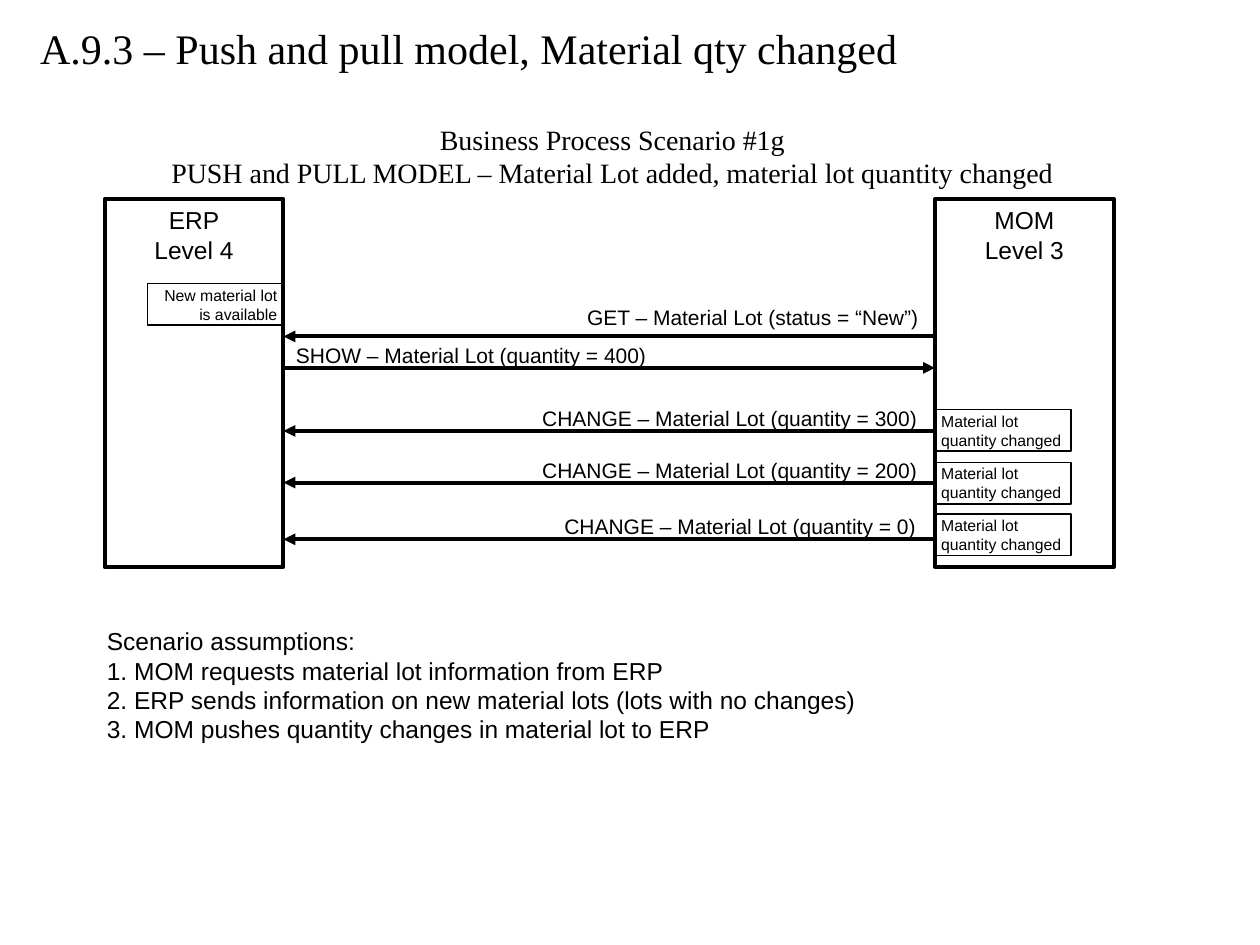
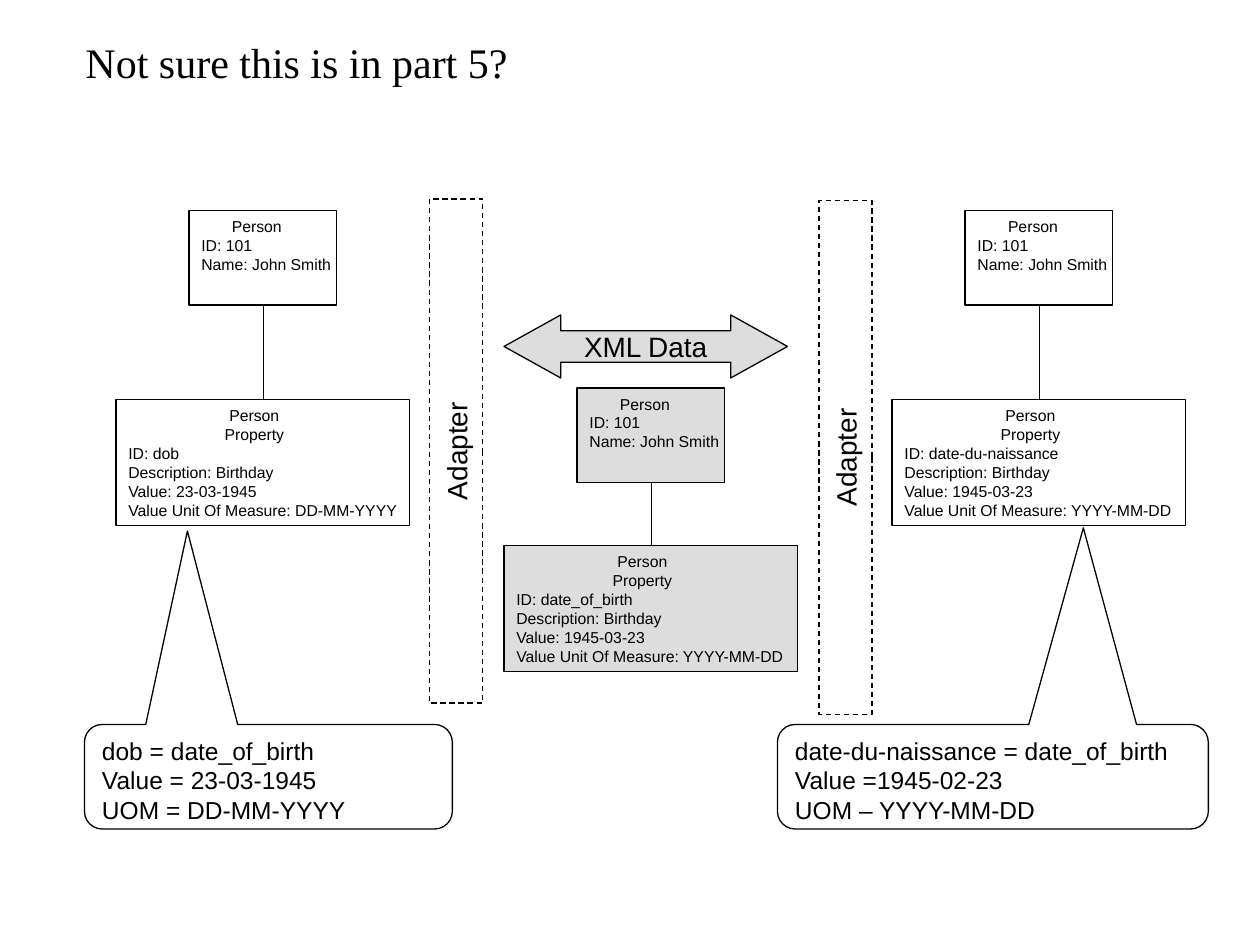
import pptx
import pptx.util
import pptx.dml.color
import pptx.enum.dml
import pptx.enum.shapes
import pptx.enum.text
import lxml.etree

Inches = pptx.util.Inches
Pt = pptx.util.Pt
color = pptx.dml.color.RGBColor.from_string
SHAPE = pptx.enum.shapes.MSO_SHAPE
ALIGN = pptx.enum.text.PP_ALIGN
ANCHOR = pptx.enum.text.MSO_ANCHOR
AUTO_SIZE = pptx.enum.text.MSO_AUTO_SIZE

BLACK, WHITE, GREY = "000000", "FFFFFF", "DDDDDD"
SANS, SERIF = "Arial", "Times New Roman"
THIN, THICK = 0.75, 2.25


def add_box(page, kind, at, lines, size, font=SANS, align=ALIGN.LEFT, fill=None,
            line=THIN, wrap=True, middle=False, side=0.1, center_tab=None):
    """Add a preset shape, or a text box when kind is None, with one paragraph per line."""
    place = [Inches(value) for value in at]
    if kind is None:
        box = page.shapes.add_textbox(*place)
    else:
        box = page.shapes.add_shape(kind, *place)
        box.shadow.inherit = False
        box.line.color.rgb = color(BLACK)
        box.line.width = Pt(line)
        if fill:
            box.fill.solid()
            box.fill.fore_color.rgb = color(fill)
        else:
            box.fill.background()
    frame = box.text_frame
    frame.word_wrap = wrap
    frame.auto_size = AUTO_SIZE.NONE
    frame.vertical_anchor = ANCHOR.MIDDLE if middle else ANCHOR.TOP
    frame.margin_left = frame.margin_right = Inches(side)
    frame.margin_top = frame.margin_bottom = Inches(0.05)
    for number, text in enumerate(lines):
        para = frame.paragraphs[0] if number == 0 else frame.add_paragraph()
        para.alignment = align
        if center_tab and text.startswith("\t"):
            tabs = lxml.etree.SubElement(para._p.get_or_add_pPr(), pptx.oxml.ns.qn("a:tabLst"))
            lxml.etree.SubElement(tabs, pptx.oxml.ns.qn("a:tab"),
                                  pos=str(Inches(center_tab)), algn="ctr")
        span = para.add_run()
        span.text = text
        span.font.name = font
        span.font.size = Pt(size)
        span.font.color.rgb = color(BLACK)
    return box


def add_line(page, start, end, width=THIN, arrow=None):
    """Add a straight line; arrow is headEnd (at start) or tailEnd (at end)."""
    connector = page.shapes.add_connector(
        pptx.enum.shapes.MSO_CONNECTOR.STRAIGHT, *[Inches(value) for value in start + end])
    connector.line.color.rgb = color(BLACK)
    connector.line.width = Pt(width)
    if arrow:
        lxml.etree.SubElement(connector.line._get_or_add_ln(),
                              pptx.oxml.ns.qn("a:" + arrow), type="triangle")
    lxml.etree.SubElement(connector._element.spPr, pptx.oxml.ns.qn("a:effectLst"))


deck = pptx.Presentation()
deck.slide_width, deck.slide_height = Inches(10), Inches(7.5)
blank = deck.slide_layouts[6]

# Titles of both slides
scenario = deck.slides.add_slide(blank)
mapping = deck.slides.add_slide(blank)
for page, at, title in [
    (scenario, (0.22, 0.13, 9.37, 0.5), "A.9.3 – Push and pull model, Material qty changed"),
    (mapping, (0.58, 0.24, 4.17, 0.5), "Not sure this is in part 5?"),
]:
    add_box(page, None, at, [title], 24, SERIF)

# Slide 1: heading and the two systems
add_box(scenario, None, (1.25, 0.92, 7.22, 0.64),
        ["Business Process Scenario #1g",
         "PUSH and PULL MODEL – Material Lot added, material lot quantity changed"],
        16, SERIF, ALIGN.CENTER, wrap=False)
erp_edge, mom_edge = 2.25, 7.42
for left, system, level in [(0.83, "ERP", "Level 4"), (mom_edge, "MOM", "Level 3")]:
    add_box(scenario, SHAPE.RECTANGLE, (left, 1.58, 1.42, 2.92), [system, level], 14,
            align=ALIGN.CENTER, line=THICK)

# Slide 1: events inside the systems
add_box(scenario, SHAPE.RECTANGLE, (1.17, 2.25, 1.08, 0.33),
        ["New material lot", "is available"], 9, align=ALIGN.RIGHT,
        wrap=False, middle=True, side=0.05)
for top in (3.25, 3.67, 4.08):
    add_box(scenario, SHAPE.RECTANGLE, (mom_edge, top, 1.08, 0.33),
            ["Material lot", "quantity changed"], 9, wrap=False, middle=True, side=0.05)

# Slide 1: messages, each a label above its arrow
for y, left, top, width, message, align, arrow in [
    (2.67, 4.56, 2.37, 2.83, "GET – Material Lot (status = “New”)", ALIGN.RIGHT, "headEnd"),
    (2.92, 2.25, 2.67, 2.98, "SHOW – Material Lot (quantity = 400)", ALIGN.LEFT, "tailEnd"),
    (3.42, 4.2, 3.17, 3.18, "CHANGE – Material Lot (quantity = 300)", ALIGN.RIGHT, "headEnd"),
    (3.83, 4.2, 3.58, 3.18, "CHANGE – Material Lot (quantity = 200)", ALIGN.RIGHT, "headEnd"),
    (4.28, 4.38, 4.03, 2.99, "CHANGE – Material Lot (quantity = 0)", ALIGN.RIGHT, "headEnd"),
]:
    add_line(scenario, (erp_edge, y), (mom_edge, y), THICK, arrow)
    add_box(scenario, None, (left, top, width, 0.3), [message], 12, align=align, wrap=False)

# Slide 1: assumptions
add_box(scenario, None, (0.75, 4.92, 8, 1.08),
        ["Scenario assumptions:",
         "1. MOM requests material lot information from ERP",
         "2. ERP sends information on new material lots (lots with no changes)",
         "3. MOM pushes quantity changes in material lot to ERP"], 14)

# Slide 2: a person linked to a property, in each system and in the XML
for left, person_top, property_top, fill, identifier, value, unit in [
    (0.92, 1.67, 3.17, WHITE, "dob", "23-03-1945", "DD-MM-YYYY"),
    (7.08, 1.67, 3.17, WHITE, "date-du-naissance", "1945-03-23", "YYYY-MM-DD"),
    (4, 3.08, 4.33, GREY, "date_of_birth", "1945-03-23", "YYYY-MM-DD"),
]:
    add_box(mapping, SHAPE.RECTANGLE, (left, property_top, 2.33, 1),
            ["\tPerson", "\tProperty", f"ID: {identifier}", "Description: Birthday",
             f"Value: {value}", f"Value Unit Of Measure: {unit}"],
            9, fill=fill, wrap=False, center_tab=1)
    add_box(mapping, SHAPE.RECTANGLE, (left + 0.58, person_top, 1.17, 0.75),
            ["\tPerson", "ID: 101", "Name: John Smith"],
            9, fill=fill, wrap=False, center_tab=0.44)
    middle_x = left + 1.17
    add_line(mapping, (middle_x, person_top + 0.75), (middle_x, property_top))

# Slide 2: adapters and the exchange between them
for at in [(1.62, 3.37, 4, 0.42), (4.67, 3.42, 4.08, 0.42)]:
    adapter = add_box(mapping, SHAPE.RECTANGLE, at, ["Adapter"], 16, align=ALIGN.CENTER,
                      fill=WHITE, wrap=False, middle=True)
    adapter.rotation = 270
    adapter.line.dash_style = pptx.enum.dml.MSO_LINE.DASH
exchange = add_box(mapping, SHAPE.LEFT_RIGHT_ARROW, (4, 2.5, 2.25, 0.5), ["XML Data"], 16,
                   align=ALIGN.CENTER, fill=GREY, wrap=False, middle=True)
exchange.adjustments[0], exchange.adjustments[1] = 0.5, 0.9

# Slide 2: callouts pointing at the properties
for left, width, tip_x, tip_y, lines in [
    (0.67, 2.92, -0.22, -2.35,
     ["dob = date_of_birth", "Value = 23-03-1945", "UOM = DD-MM-YYYY"]),
    (6.17, 3.42, 0.21, -2.38,
     ["date-du-naissance = date_of_birth", "Value =1945-02-23", "UOM – YYYY-MM-DD"]),
]:
    callout = add_box(mapping, SHAPE.ROUNDED_RECTANGULAR_CALLOUT,
                      (left, 5.75, width, 0.83), lines, 14)
    for index, amount in enumerate((tip_x, tip_y, 0.17)):
        callout.adjustments[index] = amount

deck.save("out.pptx")
